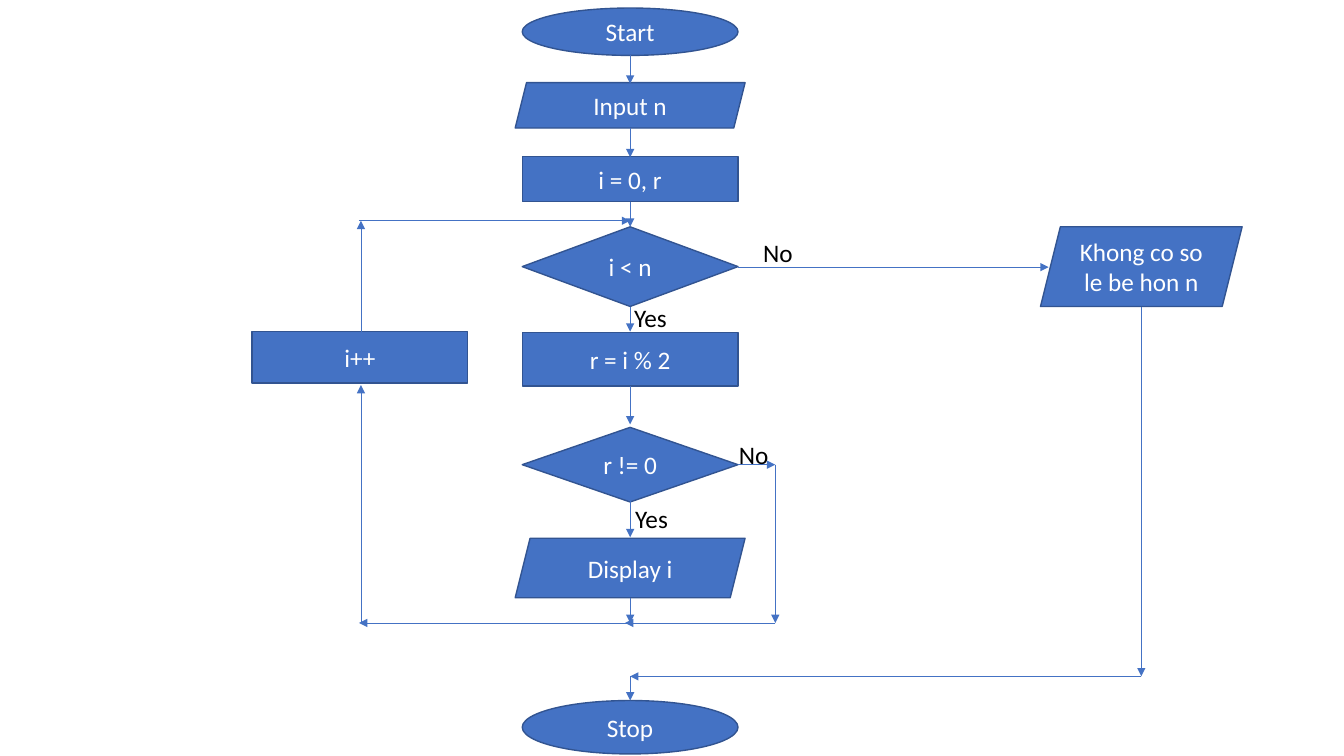
from lxml import etree
from pptx import Presentation
from pptx.dml.color import RGBColor
from pptx.enum import shapes, text
from pptx.oxml import ns
from pptx.util import Inches, Pt

KIND = shapes.MSO_SHAPE


def color(code):
    return RGBColor.from_string(code)


class Chart:
    """Style of the flowchart and the slide it is drawn on."""
    font, size = "Calibri", 18
    fill, edge, light, dark = "4472C4", "325491", "FFFFFF", "000000"

    def __init__(self, slide):
        self.items = slide.shapes

    def words(self, frame, words, ink, align):
        par = frame.paragraphs[0]
        par.alignment = align
        run = par.add_run()
        run.text = words
        run.font.name, run.font.size = self.font, Pt(self.size)
        run.font.color.rgb = color(ink)

    def node(self, kind, words, mid, top, wide, high):
        box = self.items.add_shape(kind, Inches(mid - wide / 2), Inches(top),
                                   Inches(wide), Inches(high))
        box.shadow.inherit = False
        box.fill.solid()
        box.fill.fore_color.rgb = color(self.fill)
        box.line.color.rgb = color(self.edge)
        box.line.width = Pt(1)
        frame = box.text_frame
        frame.word_wrap = True
        frame.vertical_anchor = text.MSO_ANCHOR.MIDDLE
        self.words(frame, words, self.light, text.PP_ALIGN.CENTER)

    def label(self, words, left, top, wide):
        box = self.items.add_textbox(Inches(left), Inches(top), Inches(wide), Inches(0.4))
        frame = box.text_frame
        frame.word_wrap = True
        frame.auto_size = text.MSO_AUTO_SIZE.SHAPE_TO_FIT_TEXT
        self.words(frame, words, self.dark, text.PP_ALIGN.LEFT)

    def arrow(self, *ends):
        line = self.items.add_connector(shapes.MSO_CONNECTOR.STRAIGHT,
                                        *[Inches(end) for end in ends])
        line.line.color.rgb = color(self.fill)
        line.line.width = Pt(0.5)
        props = line.element.spPr
        etree.SubElement(props.find(ns.qn("a:ln")), ns.qn("a:tailEnd"), type="triangle")
        etree.SubElement(props, ns.qn("a:effectLst"))

    def route(self, *stops):
        """One arrow for each leg between neighbouring stops."""
        for start, end in zip(stops, stops[1:]):
            self.arrow(*start, *end)


deck = Presentation()
deck.slide_width, deck.slide_height = Inches(13.33), Inches(7.5)
chart = Chart(deck.slides.add_slide(deck.slide_layouts[6]))

# Columns and shared levels
MAIN, LOOP, SKIP, EXIT = 6.25, 3.58, 7.69, 11.32
WIDE, SLANT = 2.14, 2.28
EDGE = MAIN + WIDE / 2
BACK, JOIN, LAST = 2.19, 6.18, 6.71

# Steps of the main column
for kind, words, top, wide, high in [
    (KIND.OVAL, "Start", 0.08, WIDE, 0.47),
    (KIND.PARALLELOGRAM, "Input n", 0.82, SLANT, 0.45),
    (KIND.RECTANGLE, "i = 0, r", 1.55, WIDE, 0.45),
    (KIND.DIAMOND, "i < n", 2.25, WIDE, 0.79),
    (KIND.RECTANGLE, "r = i % 2", 3.3, WIDE, 0.53),
    (KIND.DIAMOND, "r != 0", 4.24, WIDE, 0.74),
    (KIND.PARALLELOGRAM, "Display i", 5.34, SLANT, 0.59),
    (KIND.OVAL, "Stop", 6.95, WIDE, 0.53),
]:
    chart.node(kind, words, MAIN, top, wide, high)

# Side steps
chart.node(KIND.RECTANGLE, "i++", LOOP - 0.01, 3.29, WIDE, 0.51)
chart.node(KIND.PARALLELOGRAM, "Khong co so le be hon n", EXIT, 2.25, 2, 0.79)

# Arrows down the main column
for start, end in [(0.55, 0.83), (1.27, 1.56), (2, 2.25), (3.05, 3.29),
                   (3.83, 4.21), (4.97, 5.33), (5.93, JOIN)]:
    chart.arrow(MAIN, start, MAIN, end)

# "No" branches: out to Stop, and past Display
chart.arrow(EDGE, 2.65, 10.4, 2.65)
chart.route((EXIT, 3.05), (EXIT, LAST), (MAIN, LAST), (MAIN, 6.95))
chart.route((EDGE, 4.61), (SKIP, 4.61), (SKIP, JOIN), (MAIN - 0.05, JOIN))

# Loop back through i++
chart.arrow(MAIN, JOIN, LOOP - 0.02, JOIN)
chart.arrow(LOOP, JOIN, LOOP, 3.82)
chart.arrow(LOOP, 3.29, LOOP, BACK)
chart.arrow(LOOP - 0.02, BACK, MAIN, BACK)

# Branch labels
for words, left, top, wide in [("No", 7.47, 2.31, 0.81), ("Yes", 6.19, 2.95, 0.6),
                               ("No", 7.23, 4.31, 0.56), ("Yes", 6.2, 4.94, 0.58)]:
    chart.label(words, left, top, wide)

deck.save("out.pptx")
